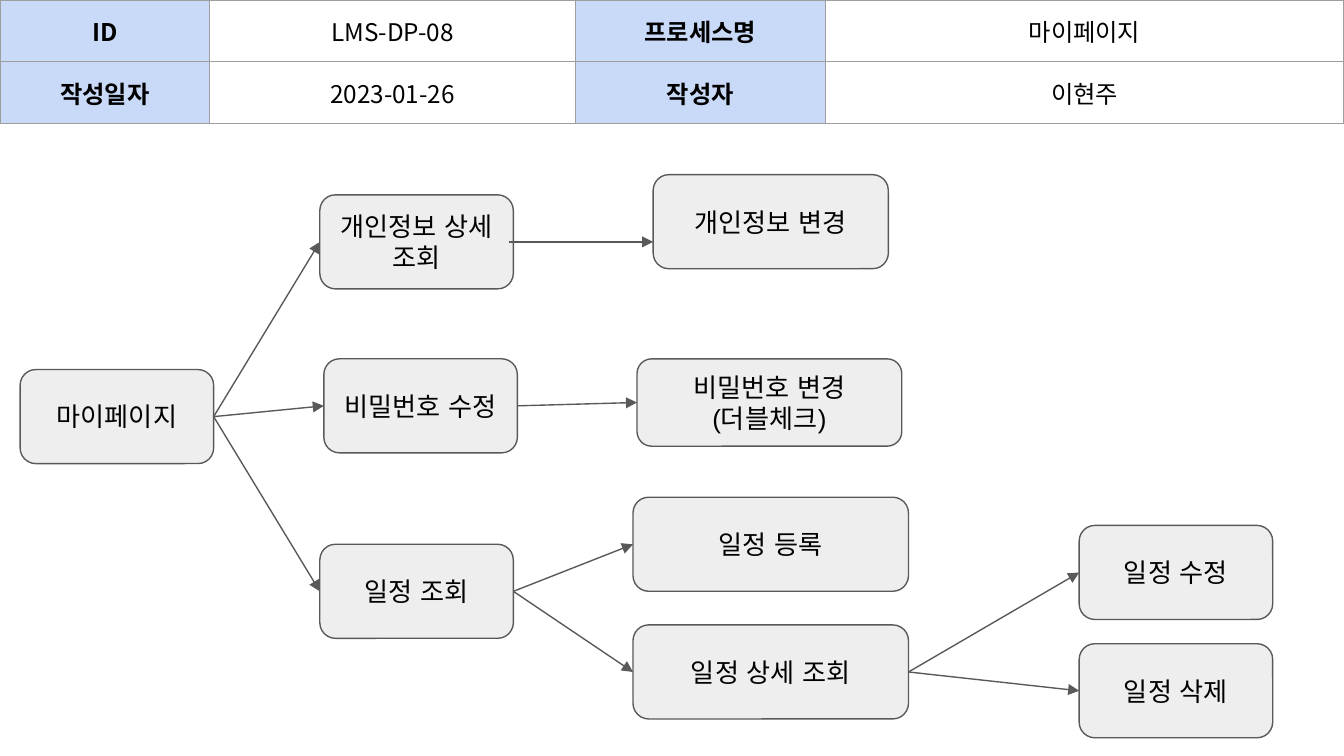
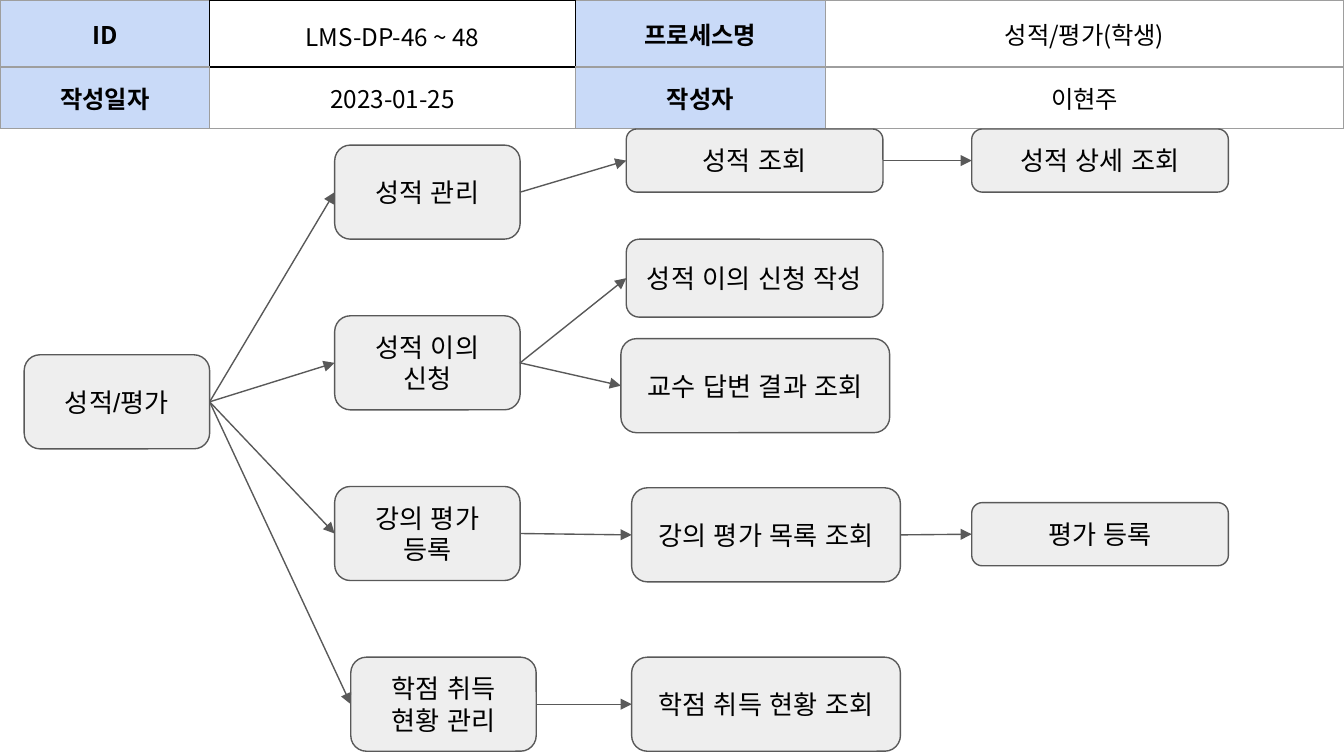
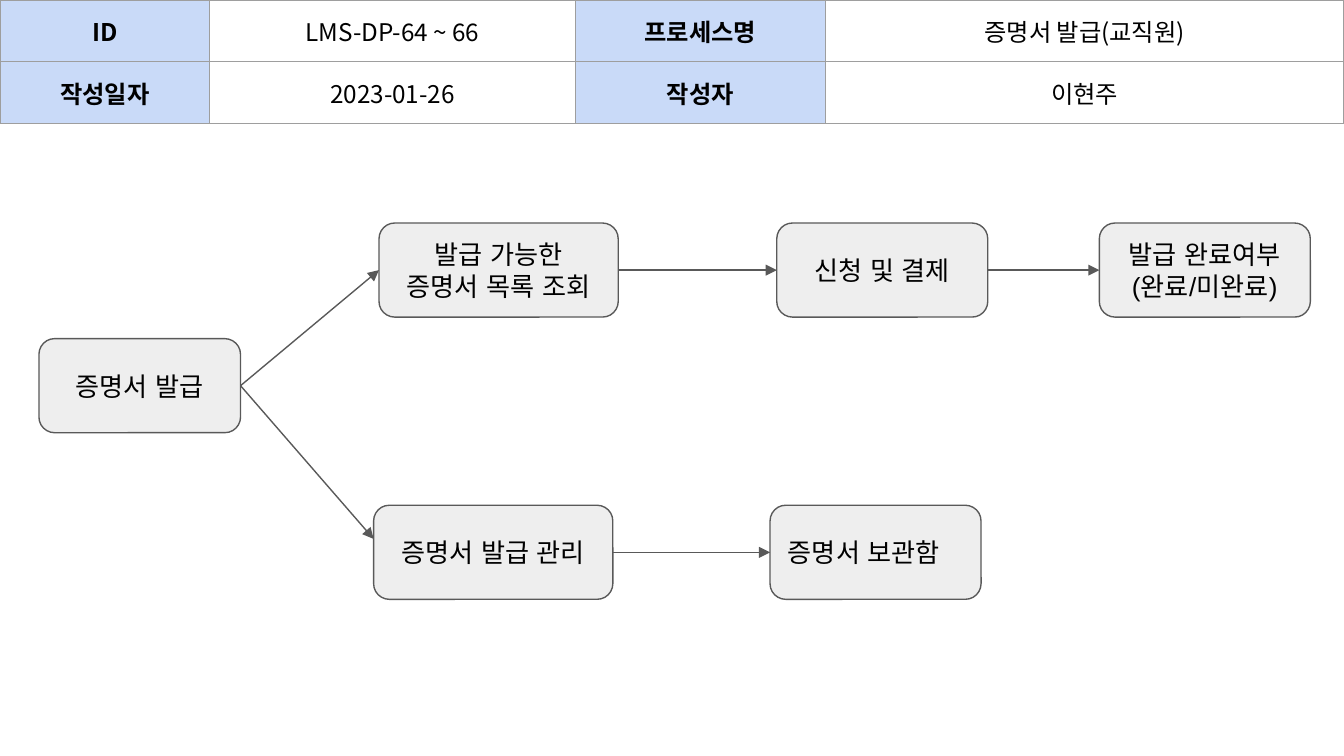
from dataclasses import dataclass

from lxml import etree
from pptx import Presentation
from pptx import util as u
from pptx.dml.color import RGBColor
from pptx.enum import shapes, text
from pptx.oxml.ns import qn


@dataclass(frozen=True)
class Theme:
    ink: str = "000000"
    label: str = "C9DAF8"
    white: str = "FFFFFF"
    box: str = "EEEEEE"
    line: str = "595959"
    grid: str = "9E9E9E"
    table_font: str = "Noto Sans CJK KR"
    box_font: str = "Arial"
    table_size: float = 13
    box_size: float = 14
    line_width: float = 0.75
    marked_width: float = 0.68
    inset: float = 0.1


T = Theme()
COLS = [1.56, 2.72, 1.86, 0.91, 1.12, 1.83]
ROWS = [0.42, 0.43]
SIDES = {"L": (0, -1), "R": (0, 1), "T": (-1, 0), "B": (1, 0)}
AUTHOR = "이현주"

# Each box is (text, left, top, width, height); a link joins box texts or loose points
SLIDES = [
    dict(
        id="LMS-DP-08", name="마이페이지", date="2023-01-26", marked=None,
        boxes=[
            ("마이페이지", 0.15, 2.75, 1.44, 0.7),
            ("개인정보 상세 조회", 2.38, 1.45, 1.44, 0.7),
            ("개인정보 변경", 4.86, 1.3, 1.75, 0.7),
            ("비밀번호 수정", 2.41, 2.67, 1.44, 0.7),
            ("일정 조회", 2.38, 4.05, 1.44, 0.7),
            ("일정 등록", 4.71, 3.7, 2.05, 0.7),
            ("비밀번호 변경(더블체크)", 4.74, 2.67, 1.97, 0.65),
            ("일정 상세 조회", 4.71, 4.65, 2.05, 0.7),
            ("일정 수정", 8.03, 3.91, 1.44, 0.7),
            ("일정 삭제", 8.03, 4.79, 1.44, 0.7),
        ],
        links=[
            ("마이페이지", "개인정보 상세 조회"),
            ("마이페이지", "비밀번호 수정"),
            ("마이페이지", "일정 조회"),
            ((3.79, 1.8), (4.86, 1.8)),
            ("비밀번호 수정", "비밀번호 변경(더블체크)"),
            ("일정 조회", "일정 등록"),
            ("일정 조회", "일정 상세 조회"),
            ("일정 상세 조회", "일정 수정"),
            ("일정 상세 조회", "일정 삭제"),
        ],
    ),
    dict(
        id="LMS-DP-46 ~ 48", name="성적/평가(학생)", date="2023-01-25", marked=(0, 1),
        boxes=[
            ("성적/평가", 0.18, 2.64, 1.38, 0.7),
            ("성적 관리", 2.49, 1.08, 1.38, 0.7),
            ("성적 이의 신청", 2.49, 2.35, 1.38, 0.7),
            ("강의 평가 등록", 2.49, 3.62, 1.38, 0.7),
            ("학점 취득 현황 관리", 2.61, 4.89, 1.38, 0.7),
            ("성적 조회", 4.66, 0.96, 1.91, 0.47),
            ("성적 이의 신청 작성", 4.66, 1.78, 1.91, 0.58),
            ("교수 답변 결과 조회", 4.62, 2.52, 2, 0.7),
            ("강의 평가 목록 조회", 4.7, 3.63, 2, 0.7),
            ("학점 취득 현황 조회", 4.7, 4.89, 2, 0.7),
            ("성적 상세 조회", 7.23, 0.96, 1.91, 0.47),
            ("평가 등록", 7.23, 3.74, 1.91, 0.47),
        ],
        links=[
            ("성적/평가", "성적 관리"),
            ("성적/평가", "성적 이의 신청"),
            ("성적/평가", "강의 평가 등록"),
            ("성적/평가", "학점 취득 현황 관리"),
            ("성적 관리", "성적 조회"),
            ("성적 이의 신청", "성적 이의 신청 작성"),
            ("성적 이의 신청", "교수 답변 결과 조회"),
            ("강의 평가 등록", "강의 평가 목록 조회"),
            ("학점 취득 현황 관리", "학점 취득 현황 조회"),
            ("성적 조회", "성적 상세 조회"),
            ("강의 평가 목록 조회", "평가 등록"),
        ],
    ),
    dict(
        id="LMS-DP-64 ~ 66", name="증명서 발급(교직원)", date="2023-01-26", marked=None,
        boxes=[
            ("증명서 발급", 0.29, 2.52, 1.5, 0.7),
            ("발급 가능한 증명서 목록 조회", 2.82, 1.66, 1.78, 0.7),
            ("신청 및 결제", 5.78, 1.66, 1.57, 0.7),
            ("발급 완료여부\n(완료/미완료)", 8.18, 1.66, 1.57, 0.7),
            ("증명서 발급 관리", 2.78, 3.76, 1.78, 0.7),
            ("증명서 보관함", 5.73, 3.76, 1.57, 0.7),
        ],
        links=[
            ("증명서 발급", "발급 가능한 증명서 목록 조회"),
            ("발급 가능한 증명서 목록 조회", "신청 및 결제"),
            ("신청 및 결제", "발급 완료여부\n(완료/미완료)"),
            ("증명서 발급 관리", "증명서 보관함"),
            ("증명서 발급", (2.78, 4.01)),
        ],
    ),
]
LEFT_ALIGNED = {"증명서 보관함"}


def write(tf, words, font, size, bold=False, align=text.PP_ALIGN.CENTER):
    """Fill a text frame, one paragraph a line, in one font."""
    tf.text = words
    tf.word_wrap = True
    for p in tf.paragraphs:
        p.alignment = align
        p.font.size = u.Pt(size)
        p.font.bold = bold
        p.font.color.rgb = RGBColor.from_string(T.ink)
        p.font.name = font
        props = p._p.pPr.find(qn("a:defRPr"))
        etree.SubElement(props, qn("a:ea"), typeface=font)


def set_border(cell, side, color, width):
    """Draw one side of a table cell."""
    ln = etree.SubElement(cell._tc.get_or_add_tcPr(), qn("a:ln" + side), w=str(u.Pt(width)))
    fill = etree.SubElement(ln, qn("a:solidFill"))
    etree.SubElement(fill, qn("a:srgbClr"), val=color)


prs = Presentation()
prs.slide_width, prs.slide_height = u.Inches(10), u.Inches(5.625)

for page in SLIDES:
    s = prs.slides.add_slide(prs.slide_layouts[6])

    # Header table
    tbl = s.shapes.add_table(len(ROWS), len(COLS), 0, 0, u.Inches(sum(COLS)),
                             u.Inches(sum(ROWS))).table
    tbl.first_row = tbl.horz_banding = False
    for col, width in zip(tbl.columns, COLS):
        col.width = u.Inches(width)
    for row, height in zip(tbl.rows, ROWS):
        row.height = u.Inches(height)
    header = [["ID", page["id"], "프로세스명", page["name"]],
              ["작성일자", page["date"], "작성자", AUTHOR]]
    for r in range(len(ROWS)):
        tbl.cell(r, 3).merge(tbl.cell(r, 5))
        for c in range(len(COLS)):
            cell = tbl.cell(r, c)
            for side, (dr, dc) in SIDES.items():
                if page["marked"] in ((r, c), (r + dr, c + dc)):
                    set_border(cell, side, T.ink, T.marked_width)
                else:
                    set_border(cell, side, T.grid, T.line_width)
            is_label = c in (0, 2)
            is_marked = page["marked"] == (r, c)
            if is_label or is_marked:
                cell.fill.solid()
                cell.fill.fore_color.rgb = RGBColor.from_string(T.label if is_label else T.white)
            else:
                cell.fill.background()
            if c > 3:
                continue
            cell.margin_left = cell.margin_right = u.Inches(T.inset)
            cell.margin_top = cell.margin_bottom = u.Inches(T.inset)
            write(cell.text_frame, header[r][c], T.table_font, T.table_size, is_label)
            if is_marked:
                cell.vertical_anchor = text.MSO_ANCHOR.TOP
                cell.text_frame.paragraphs[0].line_spacing = 1.15
            else:
                cell.vertical_anchor = text.MSO_ANCHOR.MIDDLE

    # Process boxes
    boxes = {}
    for words, *place in page["boxes"]:
        sp = s.shapes.add_shape(shapes.MSO_SHAPE.ROUNDED_RECTANGLE, *map(u.Inches, place))
        sp.shadow.inherit = False
        sp.fill.solid()
        sp.fill.fore_color.rgb = RGBColor.from_string(T.box)
        sp.line.color.rgb = RGBColor.from_string(T.line)
        sp.line.width = u.Pt(T.line_width)
        tf = sp.text_frame
        tf.margin_left = tf.margin_right = tf.margin_top = tf.margin_bottom = u.Inches(T.inset)
        tf.vertical_anchor = text.MSO_ANCHOR.MIDDLE
        align = text.PP_ALIGN.LEFT if words in LEFT_ALIGNED else text.PP_ALIGN.CENTER
        write(tf, words, T.box_font, T.box_size, align=align)
        boxes[words] = sp

    # Arrows from right side to left side
    for start, end in page["links"]:
        points = []
        for stop, is_start in ((start, True), (end, False)):
            if stop in boxes:
                sp = boxes[stop]
                points += [sp.left + sp.width * is_start, sp.top + sp.height // 2]
            else:
                points += map(u.Inches, stop)
        cxn = s.shapes.add_connector(shapes.MSO_CONNECTOR.STRAIGHT, *points)
        if start in boxes:
            cxn.begin_connect(boxes[start], 3)
        if end in boxes:
            cxn.end_connect(boxes[end], 1)
        cxn.line.color.rgb = RGBColor.from_string(T.line)
        cxn.line.width = u.Pt(T.line_width)
        etree.SubElement(cxn.line._get_or_add_ln(), qn("a:tailEnd"), type="triangle")
        etree.SubElement(cxn._element.spPr, qn("a:effectLst"))

prs.save("out.pptx")
